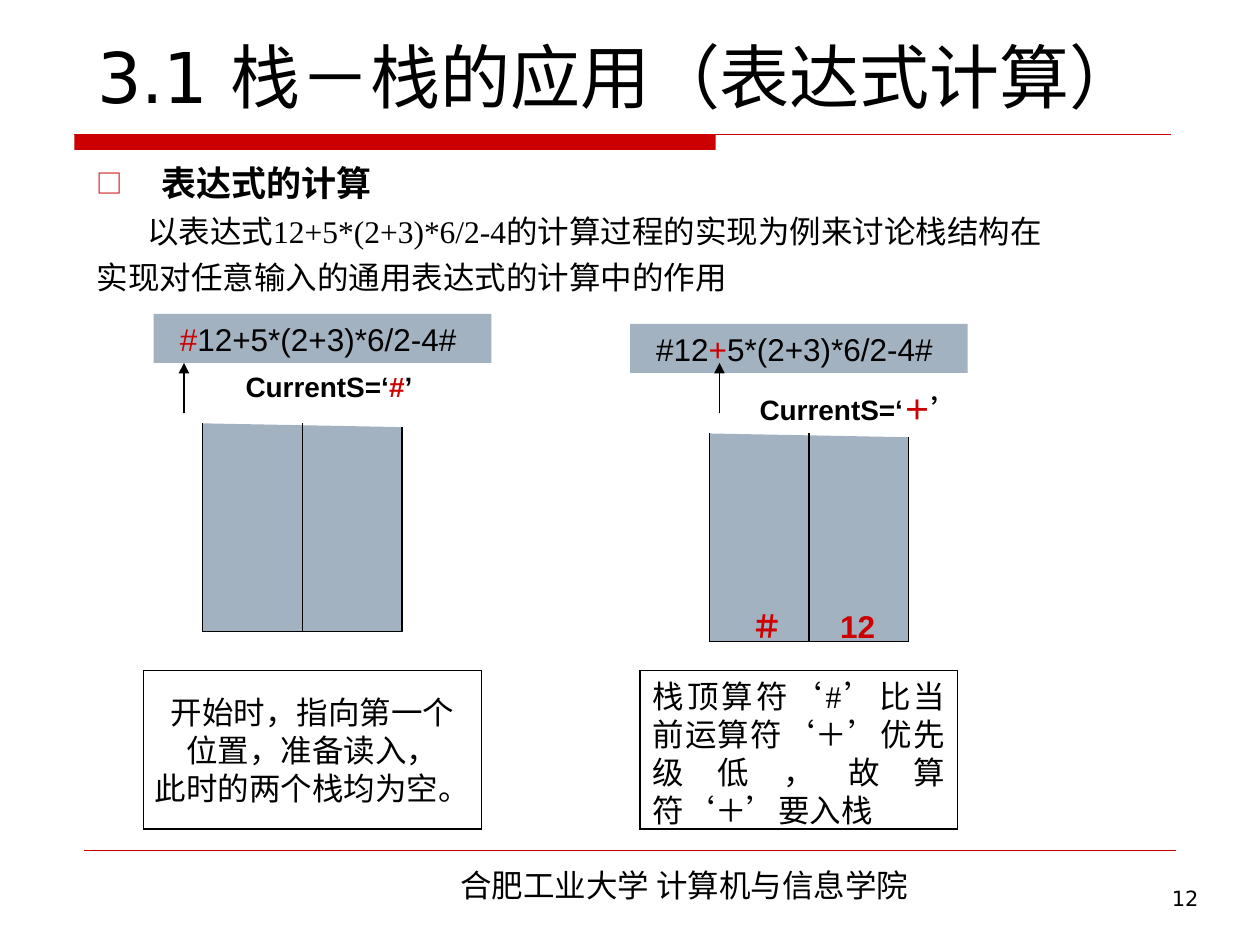
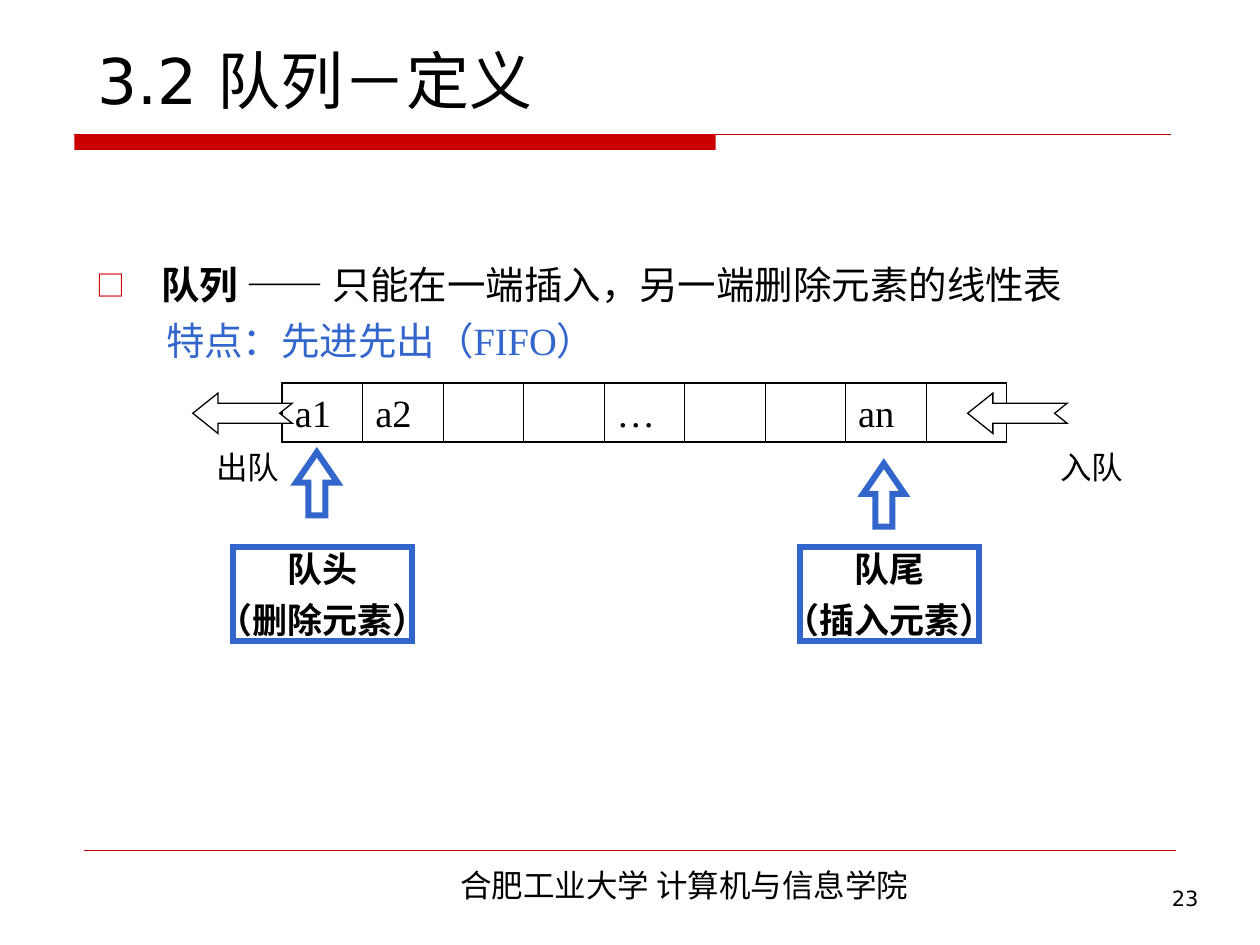
import dataclasses

import lxml.etree
import pptx
import pptx.dml.color
import pptx.enum.shapes
import pptx.enum.text
import pptx.oxml.ns
import pptx.util

Inches = pptx.util.Inches
Pt = pptx.util.Pt
ALIGN = pptx.enum.text.PP_ALIGN
ANCHOR = pptx.enum.text.MSO_ANCHOR
SHAPE = pptx.enum.shapes.MSO_SHAPE


@dataclasses.dataclass(frozen=True)
class Theme:
    red: str = "CC0000"
    blue: str = "3366CC"
    steel: str = "A3B2C1"
    black: str = "000000"
    white: str = "FFFFFF"
    display: str = "DejaVu Sans"
    sans: str = "Arial"
    serif: str = "Times New Roman"
    chinese: str = "Noto Sans CJK SC"
    queue_size: float = 22
    heading_size: float = 20
    text_size: float = 18
    label_size: float = 16
    number_size: float = 12
    line_height: float = 1.21
    thin: float = 0.75
    thick: float = 3.5


THEME = Theme()
RED = {"color": THEME.red}


def rgb(value):
    return pptx.dml.color.RGBColor.from_string(value)


def add_element(parent, tag, **attributes):
    return lxml.etree.SubElement(parent, pptx.oxml.ns.qn(tag), attributes)


def write_text(frame, paragraphs, size=THEME.text_size, font=THEME.sans, color=THEME.black,
               bold=False, align=ALIGN.LEFT, anchor=ANCHOR.TOP, wrap=True, before=0):
    frame.word_wrap = wrap
    frame.vertical_anchor = anchor
    frame.margin_left = frame.margin_right = Inches(0.1)
    frame.margin_top = frame.margin_bottom = Inches(0.05)
    for index, runs in enumerate(paragraphs):
        paragraph = frame.add_paragraph() if index else frame.paragraphs[0]
        paragraph.alignment = align
        paragraph.space_before = Pt(before)
        for item in [runs] if isinstance(runs, str) else runs:
            text, changes = (item, {}) if isinstance(item, str) else item
            style = {"size": size, "color": color, "bold": bold, **changes}
            run = paragraph.add_run()
            run.text = text
            run.font.size = Pt(style["size"])
            run.font.bold = style["bold"]
            run.font.color.rgb = rgb(style["color"])
            run.font.name = font
            add_element(run.font._element, "a:ea", typeface=THEME.chinese)
            paragraph.line_spacing = Pt(round(style["size"] * THEME.line_height, 1))


def add_text(shapes, box, paragraphs, **style):
    text_box = shapes.add_textbox(*map(Inches, box))
    write_text(text_box.text_frame, paragraphs, **style)
    return text_box.text_frame


def paint(shape, fill=None, line=None, width=THEME.thin):
    shape.shadow.inherit = False
    if fill:
        shape.fill.solid()
        shape.fill.fore_color.rgb = rgb(fill)
    else:
        shape.fill.background()
    if line:
        shape.line.color.rgb = rgb(line)
        shape.line.width = Pt(width)
        add_element(shape.line._get_or_add_ln(), "a:miter", lim="800000")
    else:
        shape.line.fill.background()


def add_box(shapes, box, paragraphs=(), kind=SHAPE.RECTANGLE, fill=None, line=None,
            width=THEME.thin, **style):
    shape = shapes.add_shape(kind, *map(Inches, box))
    paint(shape, fill, line, width)
    if paragraphs:
        write_text(shape.text_frame, paragraphs, **style)
    return shape


def add_outline(shapes, points, fill, close):
    corners = [(Inches(x), Inches(y)) for x, y in points]
    builder = shapes.build_freeform(*corners[0])
    builder.add_line_segments(corners[1:], close=close)
    paint(builder.convert_to_shape(), fill, THEME.black)


def add_line(shapes, start, end, color=THEME.black, width=THEME.thin, arrow=False):
    connector = shapes.add_connector(
        pptx.enum.shapes.MSO_CONNECTOR.STRAIGHT, *map(Inches, (*start, *end)))
    connector.line.color.rgb = rgb(color)
    connector.line.width = Pt(width)
    if arrow:
        add_element(connector.line._get_or_add_ln(), "a:tailEnd", type="triangle")
    add_element(connector._element.spPr, "a:effectLst")


def indent_paragraph(paragraph, margin, first, bullet=None):
    properties = paragraph._p.get_or_add_pPr()
    properties.set("marL", str(Inches(margin)))
    properties.set("indent", str(Inches(first)))
    if bullet:
        bullet_color = add_element(properties, "a:buClr")
        add_element(bullet_color, "a:srgbClr", val=THEME.red)
        add_element(properties, "a:buSzPct", val="75000")
        add_element(properties, "a:buFont", typeface=THEME.chinese)
        add_element(properties, "a:buChar", char=bullet)


def add_framed_slide(presentation, title, title_box, title_size, number):
    slide = presentation.slides.add_slide(presentation.slide_layouts[5])
    shapes = slide.shapes
    add_box(shapes, (0.59, 1.07, 5.09, 0.12), fill=THEME.red)
    add_line(shapes, (0.59, 1.07), (9.29, 1.07), THEME.red)
    add_line(shapes, (0.67, 6.75), (9.33, 6.75), THEME.red, 0.25)
    add_text(shapes, (2.4, 6.82, 6.06, 0.4), ["合肥工业大学 计算机与信息学院"],
             font=THEME.chinese, align=ALIGN.CENTER)
    add_text(shapes, (7.44, 6.98, 2.17, 0.52), [number],
             size=THEME.number_size, font=THEME.display, align=ALIGN.RIGHT)
    heading = shapes.title
    heading.left, heading.top, heading.width, heading.height = map(Inches, title_box)
    write_text(heading.text_frame, [title], size=title_size, font=THEME.display,
               anchor=ANCHOR.BOTTOM)
    return slide


def add_body(shapes, box, paragraphs, first_line, **style):
    frame = add_text(shapes, box, paragraphs, font=THEME.serif, **style)
    indent_paragraph(frame.paragraphs[0], 0.51, -0.51, "□")
    indent_paragraph(frame.paragraphs[1], 0, first_line)


def add_stack_step(shapes, left, top, expression, pointer, label, label_at, bin_shift, contents=()):
    add_box(shapes, (left, top, 2.68, 0.39), [expression], fill=THEME.steel,
            align=ALIGN.CENTER, anchor=ANCHOR.MIDDLE, wrap=False)
    bin_left, bin_top = left + bin_shift, top + 0.87
    bin_width, bin_height = 1.58, 1.65
    right, bottom = bin_left + bin_width, bin_top + bin_height
    add_outline(shapes, [(bin_left, bin_top), (bin_left, bottom), (right, bottom),
                         (right, bin_top + 0.03)], THEME.steel, close=False)
    middle = bin_left + bin_width / 2
    add_line(shapes, (middle, bin_top), (middle, bottom))
    pointer_left, pointer_top = left + pointer[0], top + pointer[1]
    add_line(shapes, (pointer_left, pointer_top + 0.4), (pointer_left, pointer_top), arrow=True)
    x, y, width = label_at
    add_text(shapes, (left + x, top + y, width, 0.37), [label], size=THEME.label_size,
             bold=True, anchor=ANCHOR.MIDDLE, wrap=False)
    for text, shift, width in contents:
        add_text(shapes, (bin_left + shift, bottom - 0.32, width, 0.4), [text],
                 color=THEME.red, bold=True, anchor=ANCHOR.MIDDLE)


def build_stack_slide(presentation):
    shapes = add_framed_slide(presentation, "3.1 栈－栈的应用（表达式计算）",
                              (0.67, -0.35, 8.75, 1.33), 40, "12").shapes
    add_body(shapes, (0.67, 1.23, 8.66, 1.25), [
        [("表达式的计算", {"size": THEME.heading_size, "bold": True})],
        "以表达式12+5*(2+3)*6/2-4的计算过程的实现为例来讨论栈结构在",
        "实现对任意输入的通用表达式的计算中的作用",
    ], 0.4, before=4.5)
    add_stack_step(shapes, 1.22, 2.49, [("#", RED), "12+5*(2+3)*6/2-4# "],
                   (0.24, 0.39), ["CurrentS=‘", ("#", RED), "’"], (0.63, 0.39, 1.58), 0.39)
    add_stack_step(shapes, 5, 2.57, ["#12", ("+", RED), "5*(2+3)*6/2-4# "],
                   (0.71, 0.31), ["CurrentS=‘", ("＋", RED), "’"], (0.93, 0.49, 1.88), 0.63,
                   [("＃", 0.24, 0.47), ("12", 0.94, 0.79)])
    add_box(shapes, (1.14, 5.32, 2.68, 1.26),
            ["开始时，指向第一个", "位置，准备读入，", "此时的两个栈均为空。"],
            line=THEME.black, align=ALIGN.CENTER, anchor=ANCHOR.MIDDLE, wrap=False)
    add_box(shapes, (5.08, 5.32, 2.52, 1.26),
            ["栈顶算符‘#’比当前运算符‘＋’优先级低，故算符‘＋’要入栈"],
            fill=THEME.white, line=THEME.black, font=THEME.serif, align=ALIGN.JUSTIFY)


def set_borders(cell, widths):
    properties = cell._tc.get_or_add_tcPr()
    for index, (side, width) in enumerate(zip("LRTB", widths)):
        border = add_element(properties, f"a:ln{side}", w=str(Pt(width)))
        fill = add_element(border, "a:solidFill")
        add_element(fill, "a:srgbClr", val=THEME.black)
        properties.insert(index, border)


def add_queue_table(shapes, box, values):
    table = shapes.add_table(1, len(values), *map(Inches, box)).table
    table.first_row = table.horz_banding = False
    inner, outer = 0.45, 1.08
    last = len(values) - 1
    for index, value in enumerate(values):
        table.columns[index].width = Inches(box[2] / len(values))
        cell = table.cell(0, index)
        cell.fill.background()
        set_borders(cell, (inner if index else outer, outer if index == last else inner,
                           outer, outer))
        if value:
            write_text(cell.text_frame, [value], size=THEME.queue_size, font=THEME.serif)


def add_flow_arrow(shapes, left, top, caption, caption_shift):
    points = [(0.79, 0.08), (0.2, 0.08), (0.2, 0), (0, 0.16), (0.2, 0.32),
              (0.2, 0.24), (0.79, 0.24), (0.69, 0.16)]
    add_outline(shapes, [(left + x, top + y) for x, y in points], THEME.white, close=True)
    add_text(shapes, (left + caption_shift, top + 0.39, 0.71, 0.39), [caption],
             align=ALIGN.CENTER, anchor=ANCHOR.MIDDLE, wrap=False)


def add_queue_end(slide, left, top, arrow_top, paragraphs):
    shapes = slide.shapes.add_group_shape().shapes
    frame = {"fill": THEME.white, "line": THEME.blue, "width": THEME.thick}
    add_box(shapes, (left, top, 1.42, 0.75), paragraphs, size=THEME.heading_size,
            font=THEME.serif, bold=True, align=ALIGN.CENTER, anchor=ANCHOR.MIDDLE,
            wrap=False, before=5, **frame)
    arrow = add_box(shapes, (left + 0.5, arrow_top, 0.33, 0.5), kind=SHAPE.UP_ARROW, **frame)
    arrow.adjustments[0] = 0.41
    arrow.adjustments[1] = 0.73


def build_queue_slide(presentation):
    slide = add_framed_slide(presentation, "3.2 队列－定义", (0.67, 0.28, 8.75, 0.7), 36, "23")
    shapes = slide.shapes
    add_body(shapes, (0.67, 2.02, 8.74, 1), [
        [("队列 ", {"bold": True}), "—— 只能在一端插入，另一端删除元素的线性表"],
        [("特点：先进先出（FIFO）", {"color": THEME.blue})],
    ], 0.55, size=THEME.queue_size, before=5.5)
    add_queue_table(shapes, (2.24, 3.04, 5.75, 0.47),
                    ["a1", "a2", "", "", "…", "", "", "an", ""])
    add_flow_arrow(shapes, 1.53, 3.12, "出队", 0.08)
    add_flow_arrow(shapes, 7.68, 3.12, "入队", 0.63)
    add_queue_end(slide, 1.85, 4.34, 3.59, ["队头", "（删除元素）"])
    add_queue_end(slide, 6.35, 4.34, 3.68, ["队尾", "（插入元素）"])


def main():
    presentation = pptx.Presentation()
    presentation.slide_width = Inches(10)
    presentation.slide_height = Inches(7.5)
    build_stack_slide(presentation)
    build_queue_slide(presentation)
    presentation.save("out.pptx")


if __name__ == "__main__":
    main()
